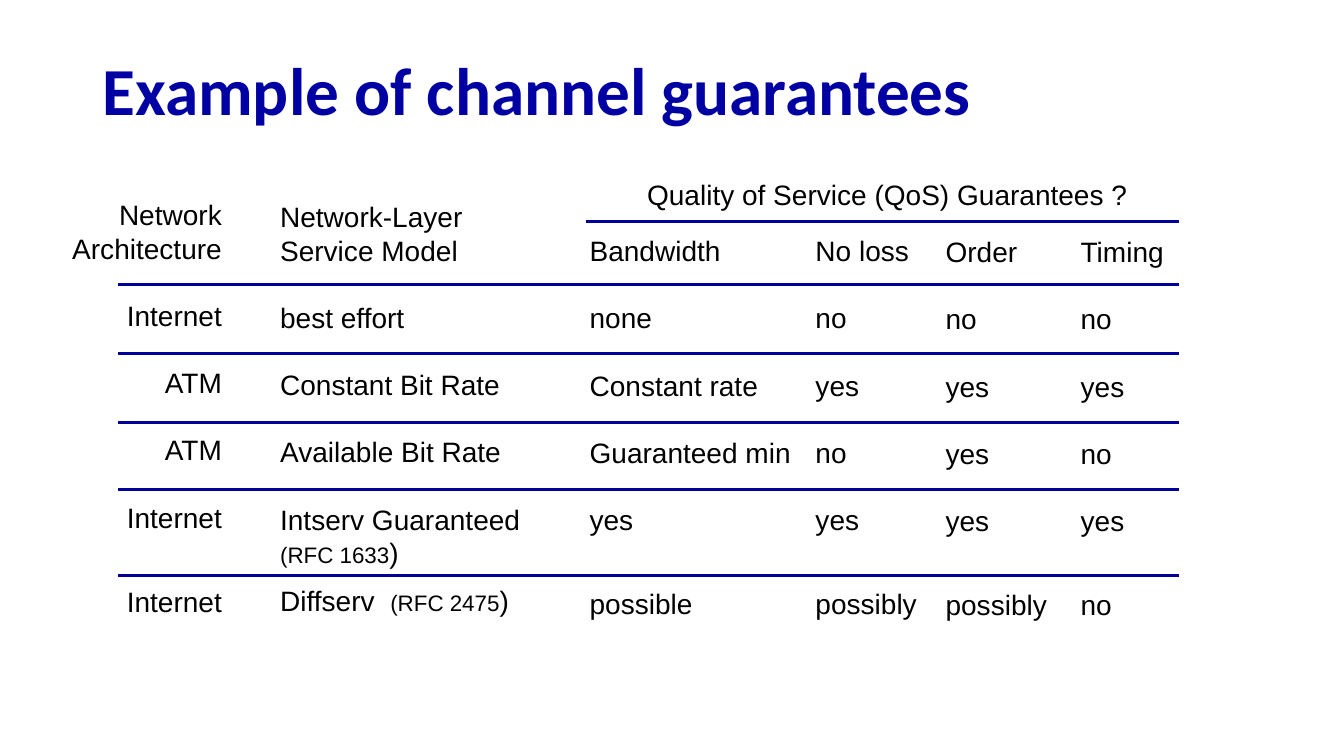
"""Build the slide on channel guarantees."""
from lxml.etree import SubElement
from pptx import Presentation
from pptx.dml.color import RGBColor
from pptx.enum.shapes import MSO_CONNECTOR as Link
from pptx.enum.text import MSO_ANCHOR as Anchor, MSO_AUTO_SIZE as Fit, PP_ALIGN as Align
from pptx.oxml.ns import qn
from pptx.util import Inches, Pt

TITLE = "Example of channel guarantees"
GROUP = "Quality of Service (QoS) Guarantees ?"
ROWS = [
    ("Network\nArchitecture", "Network-Layer Service Model", "Bandwidth", "No loss", "Order", "Timing"),
    ("Internet", "best effort", "none", "no", "no", "no"),
    ("ATM", "Constant Bit Rate", "Constant rate", "yes", "yes", "yes"),
    ("ATM", "Available Bit Rate", "Guaranteed min", "no", "yes", "no"),
    ("Internet", "Intserv Guaranteed\n|(RFC 1633|)", "yes", "yes", "yes", "yes"),
    ("Internet", "Diffserv  |(RFC 2475|)", "possible", "possibly", "possibly", "no"),
]
# left, top, width, height, wraps, alignment, gap above the last row
COLS = [
    (0.6, 1.91, 1.7, 4.31, False, Align.RIGHT, 36),
    (2.68, 1.93, 2.89, 4.28, True, Align.LEFT, 10),
    (5.75, 2.27, 2.34, 3.97, True, Align.LEFT, 36),
    (7.99, 2.27, 1.23, 3.97, False, Align.LEFT, 36),
    (9.28, 2.28, 1.22, 3.97, False, Align.LEFT, 36),
    (10.62, 2.28, 1.03, 3.97, False, Align.LEFT, 36),
]
RULES = [2.82, 3.51, 4.19, 4.86, 5.71]
LEFT, SPLIT, RIGHT, TOP = 1.17, 5.81, 11.69, 2.2
BODY, SMALL, PITCH = 20, 16, 24
NAVY = RGBColor(0x00, 0x00, 0xA3)
RULE = RGBColor(0x00, 0x00, 0x99)
BLACK = RGBColor(0, 0, 0)


def add_box(slide, area, wrap, fit=Fit.SHAPE_TO_FIT_TEXT):
    frame = slide.shapes.add_textbox(*map(Inches, area)).text_frame
    frame.word_wrap = wrap
    frame.auto_size = fit
    return frame


def add_run(para, text, size, face="Arial", color=BLACK, bold=False):
    run = para.add_run()
    run.text = text
    font = run.font
    font.name, font.size, font.bold = face, Pt(size), bold
    font.color.rgb = color


def add_cell(frame, text, gap, align):
    for line in text.split("\n"):
        first = frame.paragraphs[0]
        para = frame.add_paragraph() if first.runs else first
        para.alignment = align
        para.line_spacing = Pt(PITCH)
        para.space_before = Pt(gap)
        gap = 0
        for i, part in enumerate(line.split("|")):
            if part:
                add_run(para, part, SMALL if i % 2 else BODY)


def add_rule(slide, left, y):
    ends = map(Inches, (left, y, RIGHT, y))
    rule = slide.shapes.add_connector(Link.STRAIGHT, *ends)
    rule.line.color.rgb = RULE
    rule.line.width = Pt(2.25)
    SubElement(rule._element.spPr, qn("a:effectLst"))


def main():
    deck = Presentation()
    deck.slide_width, deck.slide_height = Inches(13.33), Inches(7.5)
    slide = deck.slides.add_slide(deck.slide_layouts[6])

    frame = add_box(slide, (0.92, 0.44, 11.5, 0.98), True, Fit.NONE)
    frame.vertical_anchor = Anchor.MIDDLE
    para = frame.paragraphs[0]
    para.line_spacing = 0.9
    add_run(para, TITLE, 48, "Calibri", NAVY, True)

    for cells, (*area, wrap, align, last) in zip(zip(*ROWS), COLS):
        frame = add_box(slide, area, wrap)
        gaps = [0] + [PITCH] * (len(cells) - 2) + [last]
        for text, gap in zip(cells, gaps):
            add_cell(frame, text, gap, align)

    add_cell(add_box(slide, (6.32, 1.71, 5, 0.44), False), GROUP, 0, Align.LEFT)
    add_rule(slide, SPLIT, TOP)
    for y in RULES:
        add_rule(slide, LEFT, y)
    deck.save("out.pptx")


if __name__ == "__main__":
    main()
